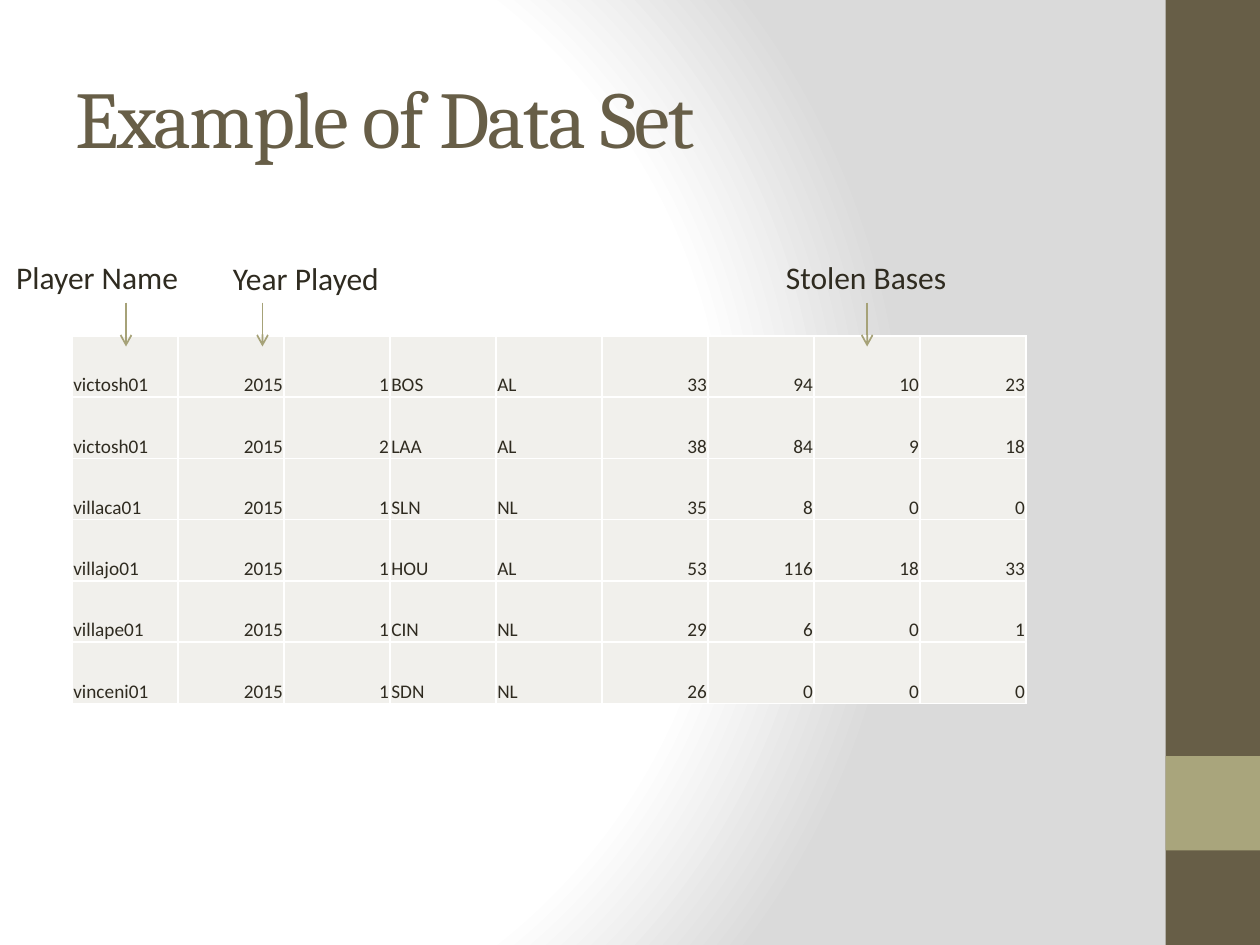
import dataclasses

import lxml.etree
import pptx
import pptx.dml.color
import pptx.enum.shapes
import pptx.enum.text
import pptx.oxml
import pptx.oxml.ns
import pptx.util

Pt = pptx.util.Pt
RGB = pptx.dml.color.RGBColor.from_string
qn = pptx.oxml.ns.qn
NS = pptx.oxml.ns.nsdecls("a")
Align = pptx.enum.text.PP_ALIGN
Anchor = pptx.enum.text.MSO_ANCHOR


@dataclasses.dataclass(frozen=True)
class Theme:
    heading: str = "Cambria"
    body: str = "Calibri"
    brown: str = "675E47"
    olive: str = "A9A57C"
    arrow: str = "A6A278"
    text: str = "2F2B20"
    cell: str = "F1F0EC"
    white: str = "FFFFFF"
    grey: str = "DADADA"
    title_size: int = 46
    label_size: int = 18
    cell_size: int = 11


THEME = Theme()
TEXT_COLUMNS = {0, 3, 4}
PLAYERS = [
    ("victosh01", 2015, 1, "BOS", "AL", 33, 94, 10, 23),
    ("victosh01", 2015, 2, "LAA", "AL", 38, 84, 9, 18),
    ("villaca01", 2015, 1, "SLN", "NL", 35, 8, 0, 0),
    ("villajo01", 2015, 1, "HOU", "AL", 53, 116, 18, 33),
    ("villape01", 2015, 1, "CIN", "NL", 29, 6, 0, 1),
    ("vinceni01", 2015, 1, "SDN", "NL", 26, 0, 0, 0),
]
LABELS = [
    ("Player Name", 2.2, 144, 108, 72),
    ("Stolen Bases", 442, 144, 107.5, 495.5),
    ("Year Played", 126, 144.7, 98.5, 150),
]


def style_font(font, name, size, color):
    font.name = name
    font.size = Pt(size)
    font.color.rgb = RGB(color)


def paint_background(s):
    s.background.fill.gradient()
    grad = s.element.find(".//" + qn("a:gradFill"))
    stops = "".join(
        f'<a:gs pos="{pos}"><a:srgbClr val="{color}"/></a:gs>'
        for pos, color in ((0, THEME.white), (75000, THEME.white), (100000, THEME.grey))
    )
    grad.getparent().replace(grad, pptx.oxml.parse_xml(
        f'<a:gradFill {NS} rotWithShape="1"><a:gsLst>{stops}</a:gsLst><a:path path="circle">'
        '<a:fillToRect l="20000" t="50000" r="100000" b="50000"/></a:path></a:gradFill>'
    ))


def add_side_band(s, x, y, w, h):
    for top, height, color in ((y, h, THEME.brown), (y + 0.8 * h, w, THEME.olive)):
        sp = s.shapes.add_shape(
            pptx.enum.shapes.MSO_SHAPE.RECTANGLE, Pt(x), Pt(top), Pt(w), Pt(height))
        sp.shadow.inherit = False
        sp.fill.solid()
        sp.fill.fore_color.rgb = RGB(color)
        sp.line.fill.background()


def add_title(s, text, x, y, w, h):
    sp = s.shapes.title
    sp.left, sp.top, sp.width, sp.height = Pt(x), Pt(y), Pt(w), Pt(h)
    tf = sp.text_frame
    tf.text = text
    tf.vertical_anchor = Anchor.MIDDLE
    p = tf.paragraphs[0]
    p.alignment = Align.LEFT
    style_font(p.font, THEME.heading, THEME.title_size, THEME.brown)
    p.runs[0].font._element.set("spc", "-100")


def add_borders(cell):
    tc_pr = cell._tc.get_or_add_tcPr()
    for side in ("lnL", "lnR", "lnT", "lnB"):
        tc_pr.append(pptx.oxml.parse_xml(
            f'<a:{side} {NS} w="12700"><a:solidFill><a:srgbClr val="{THEME.white}"/>'
            f'</a:solidFill></a:{side}>'
        ))


def add_player_table(s, x, y, w, h):
    n_rows, n_cols = len(PLAYERS), len(PLAYERS[0])
    table = s.shapes.add_table(n_rows, n_cols, Pt(x), Pt(y), Pt(w), Pt(h)).table
    table.first_row = table.horz_banding = False
    for row, values in zip(table.rows, PLAYERS):
        row.height = Pt(h / n_rows)
        for col, (cell, value) in enumerate(zip(row.cells, values)):
            add_borders(cell)
            cell.fill.solid()
            cell.fill.fore_color.rgb = RGB(THEME.cell)
            cell.margin_left = cell.margin_right = cell.margin_top = Pt(0.7)
            cell.margin_bottom = 0
            cell.vertical_anchor = Anchor.BOTTOM
            cell.text = str(value)
            p = cell.text_frame.paragraphs[0]
            p.alignment = Align.LEFT if col in TEXT_COLUMNS else Align.RIGHT
            style_font(p.font, THEME.body, THEME.cell_size, THEME.text)


def add_label(s, text, x, y, w, h):
    tf = s.shapes.add_textbox(Pt(x), Pt(y), Pt(w), Pt(h)).text_frame
    tf.word_wrap = False
    tf.auto_size = pptx.enum.text.MSO_AUTO_SIZE.SHAPE_TO_FIT_TEXT
    tf.text = text
    style_font(tf.paragraphs[0].font, THEME.body, THEME.label_size, THEME.text)


def add_down_arrow(s, x, y, length):
    line = s.shapes.add_connector(
        pptx.enum.shapes.MSO_CONNECTOR.STRAIGHT, Pt(x), Pt(y), Pt(x), Pt(y + length))
    line.line.color.rgb = RGB(THEME.arrow)
    line.line.width = Pt(1)
    sp_pr = line._element.spPr
    lxml.etree.SubElement(sp_pr.find(qn("a:ln")), qn("a:tailEnd"), type="arrow")
    lxml.etree.SubElement(sp_pr, qn("a:effectLst"))


def build_data_slide(prs):
    s = prs.slides.add_slide(prs.slide_layouts[5])
    paint_background(s)
    add_side_band(s, 666, 0, 54, 540)
    add_title(s, "Example of Data Set", 36, 21.6, 600, 90)
    add_player_table(s, 41.2, 192, 545.4, 210)
    for text, x, y, w, _ in LABELS:
        add_label(s, text, x, y, w, 29)
    for *_, arrow_x in LABELS:
        add_down_arrow(s, arrow_x, 173, 25)


def main():
    prs = pptx.Presentation()
    prs.slide_width, prs.slide_height = Pt(720), Pt(540)
    build_data_slide(prs)
    prs.save("out.pptx")


if __name__ == "__main__":
    main()
